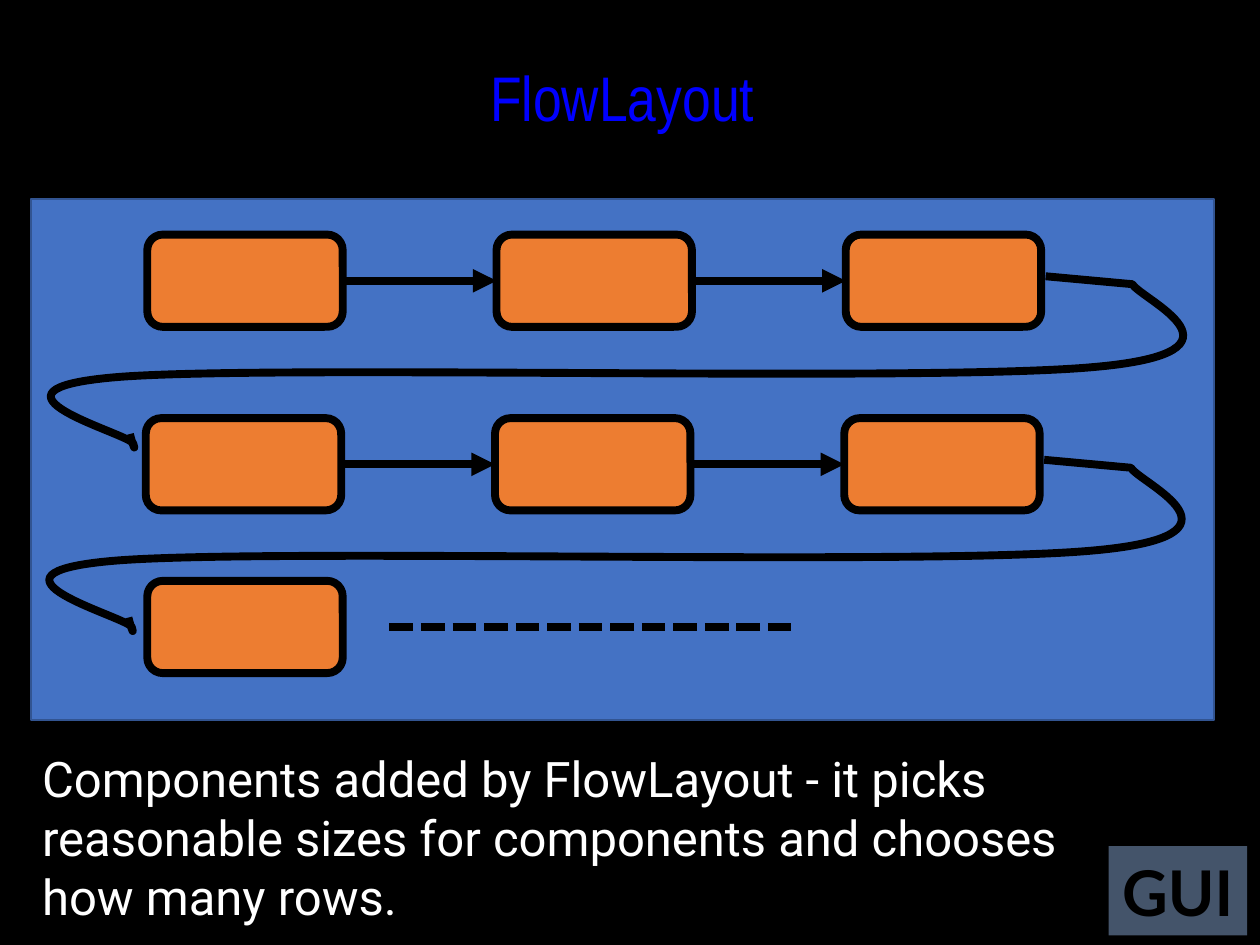
import pptx
import pptx.util
import pptx.dml.color
import pptx.enum.dml
import pptx.enum.shapes
import pptx.enum.text
import pptx.oxml
import pptx.oxml.ns
from pptx.util import Cm, Pt

# Content
TITLE = "FlowLayout"
CAPTION = ("Components added by FlowLayout - it picks reasonable sizes "
           "for components and chooses how many rows.")
BADGE = "GUI"
# Rows of components, in cm: left, top, number of components
ROWS = [(2.97, 4.73, 3), (2.94, 8.43, 3), (2.97, 11.71, 1)]

# Layout, in cm
COMPONENT_W, COMPONENT_H, COLUMN_PITCH = 3.94, 1.86, 7.04
# Return path from a row's end to the next row, relative to the row's corner
RETURN_LEFT, RETURN_TOP, RETURN_W, RETURN_H = -1.95, 0.84, 22.83, 3.45
RETURN_PATH = [
    ("moveTo", [(18.11, 0.84)]),
    ("lnTo", [(19.86, 1.0)]),
    ("cubicBezTo", [(20.02, 1.3), (22.51, 2.37), (19.08, 2.67)]),
    ("cubicBezTo", [(15.67, 2.98), (2.64, 2.62), (-0.58, 2.87)]),
    ("cubicBezTo", [(-3.81, 3.13), (-0.3, 4.02), (-0.28, 4.22)]),
    ("cubicBezTo", [(-0.23, 4.4), (-0.3, 4.22), (-0.35, 4.02)]),
]

THEME = {
    "background": "000000", "ink": "000000", "title": "0000FF",
    "caption": "FFFFFF", "panel": "4472C4", "panel_edge": "325491",
    "component": "ED7D31", "badge": "44546A",
    "title_font": "Arial Narrow", "caption_font": "Roboto", "badge_font": "Lato",
    "title_size": 36, "caption_size": 28, "badge_size": 36, "stroke": 4.5,
}
SHAPES = pptx.enum.shapes.MSO_SHAPE
ALIGN = pptx.enum.text.PP_ALIGN
ANCHOR = pptx.enum.text.MSO_ANCHOR
NAMESPACE = pptx.oxml.ns.nsdecls("a")


def color(role):
    return pptx.dml.color.RGBColor.from_string(THEME[role])


def set_stroke(line, role="ink", width=THEME["stroke"]):
    line.color.rgb = color(role)
    line.width = Pt(width)


def write(shape, text, role, font_color, align, anchor, wrap=True):
    frame = shape.text_frame
    frame.text = text
    frame.word_wrap = wrap
    frame.auto_size = pptx.enum.text.MSO_AUTO_SIZE.NONE
    frame.vertical_anchor = anchor
    paragraph = frame.paragraphs[0]
    paragraph.alignment = align
    font = paragraph.runs[0].font
    font.name = THEME[role + "_font"]
    font.size = Pt(THEME[role + "_size"])
    font.color.rgb = color(font_color)
    return font


def add_block(slide, kind, left, top, width, height, fill):
    block = slide.shapes.add_shape(kind, Cm(left), Cm(top), Cm(width), Cm(height))
    block.shadow.inherit = False
    block.fill.solid()
    block.fill.fore_color.rgb = color(fill)
    return block


def add_line(slide, start_x, end_x, y):
    connector = slide.shapes.add_connector(
        pptx.enum.shapes.MSO_CONNECTOR.STRAIGHT, Cm(start_x), Cm(y), Cm(end_x), Cm(y))
    set_stroke(connector.line)
    connector._element.spPr.append(pptx.oxml.parse_xml(f"<a:effectLst {NAMESPACE}/>"))
    return connector


def add_arrow(slide, start_x, end_x, y):
    arrow = add_line(slide, start_x, end_x, y)
    arrow.line._get_or_add_ln().append(
        pptx.oxml.parse_xml(f'<a:tailEnd {NAMESPACE} type="triangle"/>'))


def add_return(slide, row_left, row_top):
    # The builder sets the frame; true curves then replace its diagonal
    left, top = row_left + RETURN_LEFT, row_top + RETURN_TOP
    builder = slide.shapes.build_freeform(Cm(left), Cm(top))
    builder.add_line_segments([(Cm(left + RETURN_W), Cm(top + RETURN_H))], close=False)
    route = builder.convert_to_shape()
    outline = route._element.spPr.find(".//" + pptx.oxml.ns.qn("a:path"))
    for segment in list(outline):
        outline.remove(segment)
    for command, points in RETURN_PATH:
        marks = "".join(f'<a:pt x="{Cm(x - RETURN_LEFT)}" y="{Cm(y - RETURN_TOP)}"/>'
                        for x, y in points)
        outline.append(pptx.oxml.parse_xml(
            f"<a:{command} {NAMESPACE}>{marks}</a:{command}>"))
    route.shadow.inherit = False
    route.fill.background()
    set_stroke(route.line)


def main():
    deck = pptx.Presentation()
    deck.slide_width, deck.slide_height = Cm(25.4), Cm(19.05)
    slide = deck.slides.add_slide(deck.slide_layouts[5])
    slide.background.fill.solid()
    slide.background.fill.fore_color.rgb = color("background")

    # Badge
    badge = add_block(slide, SHAPES.RECTANGLE, 22.35, 17.06, 2.79, 1.8, "badge")
    badge.line.fill.background()
    write(badge, BADGE, "badge", "ink", ALIGN.CENTER, ANCHOR.MIDDLE, False).bold = True

    # Title and caption
    title = slide.shapes.title
    title.left, title.top, title.width, title.height = Cm(2.97), Cm(1.06), Cm(19.15), Cm(2.41)
    write(title, TITLE, "title", "title", ALIGN.CENTER, ANCHOR.TOP, False)
    caption = slide.shapes.add_textbox(Cm(0.6), Cm(14.97), Cm(21.51), Cm(3.84))
    write(caption, CAPTION, "caption", "caption", ALIGN.LEFT, ANCHOR.TOP)

    # Container panel
    panel = add_block(slide, SHAPES.RECTANGLE, 0.62, 4.01, 23.86, 10.5, "panel")
    set_stroke(panel.line, "panel_edge", 1)

    # Rows of components, with arrows between neighbours
    for left, top, count in ROWS:
        middle = top + COMPONENT_H / 2
        for column in range(count):
            x = left + column * COLUMN_PITCH
            component = add_block(slide, SHAPES.ROUNDED_RECTANGLE, x, top,
                                  COMPONENT_W, COMPONENT_H, "component")
            set_stroke(component.line)
            if column:
                add_arrow(slide, x - COLUMN_PITCH + COMPONENT_W, x, middle)

    # Return paths from each full row to the next
    for left, top, _ in ROWS[:-1]:
        add_return(slide, left, top)

    # Dashes for the components still to come
    more = add_line(slide, 7.85, 15.95, 12.64)
    more.line.dash_style = pptx.enum.dml.MSO_LINE.SQUARE_DOT
    more.line._get_or_add_ln().find(pptx.oxml.ns.qn("a:prstDash")).set("val", "sysDash")

    deck.save("out.pptx")


if __name__ == "__main__":
    main()
